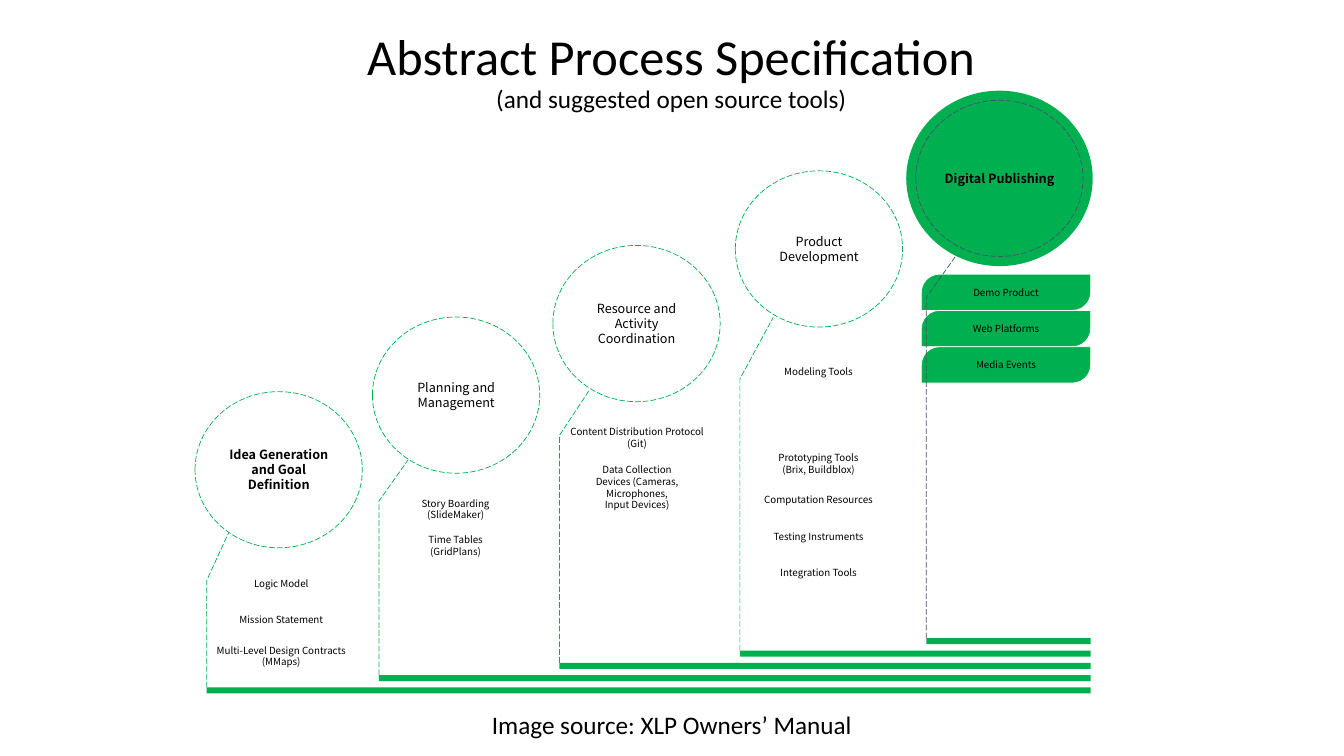
from dataclasses import dataclass

import pptx
import pptx.dml.color
import pptx.enum.dml
import pptx.enum.shapes
import pptx.enum.text
import pptx.util

GREEN = pptx.dml.color.RGBColor(0x00, 0xB0, 0x50)
SLATE = pptx.dml.color.RGBColor(0x44, 0x54, 0x6A)
BLACK = pptx.dml.color.RGBColor(0, 0, 0)
WHITE = pptx.dml.color.RGBColor(0xFF, 0xFF, 0xFF)

SHAPES = pptx.enum.shapes.MSO_SHAPE
ANCHOR = pptx.enum.text.MSO_ANCHOR
HEADING_FONT = "Calibri"
DIAGRAM_FONT = "Noto Sans CJK SC"

# All lengths below are counted in square grid cells.
COLUMNS, ROWS = 133.33, 75
CELL = pptx.util.Inches(0.1)
DISC_WIDTH, DISC_HEIGHT, RING_INSET = 18.5, 17.4, 0.95
TOOL_WIDTH, TOOL_ROW, TOOL_GAP, CORNER = 16.8, 3.6, 0.8, 1.8
BAR_RIGHT, BAR_HEIGHT = 108.2, 0.6
FIRST_BAR_TOP, BAR_STEP = 68.2, 1.22


@dataclass
class Tool:
    label: str
    height: float = TOOL_ROW
    space_below: float = 0.5


@dataclass
class Stage:
    name: str
    disc: tuple       # left, top
    tools_left: float
    spine: float      # column of the leader's upright, and start of the bar
    knee: float       # row where the leader bends
    tip: tuple        # where the leader meets the ring
    tools: list
    bold: bool = False
    filled: bool = False


STAGES = [
    Stage("Idea Generation and Goal Definition", (18.4, 37.9), 19.5,
          20.5, 57.6, (22.7, 52.8),
          [Tool("Logic Model"), Tool("Mission Statement"),
           Tool("Multi-Level Design Contracts (MMaps)")], bold=True),
    Stage("Planning and Management", (36, 30.5), 36.8,
          37.6, 49.7, (40.5, 45.6),
          [Tool("Story Boarding\n(SlideMaker)"),
           Tool("Time Tables\n(GridPlans)")]),
    Stage("Resource and Activity Coordination", (53.9, 23.4), 54.8,
          55.5, 43.2, (58.4, 38.8),
          [Tool("Content Distribution Protocol (Git)"),
           Tool("Data Collection\nDevices (Cameras, Microphones,\n"
                "Input Devices)", height=6.3)]),
    Stage("Product Development", (72, 16), 72.8,
          73.4, 37.6, (76.7, 31.5),
          [Tool("Modeling Tools", height=10, space_below=5.1),
           Tool("Prototyping Tools\n(Brix, Buildblox)"),
           Tool("Computation Resources"), Tool("Testing Instruments"),
           Tool("Integration Tools")]),
    Stage("Digital Publishing", (89.9, 9), 91.4,
          91.9, 29.5, (97.3, 21.9),
          [Tool("Demo Product"), Tool("Web Platforms"),
           Tool("Media Events")], bold=True, filled=True),
]


def cells(count):
    return round(count * CELL)


def style(shape, fill=None, line=None, dashed=False):
    shape.shadow.inherit = False
    if fill is None:
        shape.fill.background()
    else:
        shape.fill.solid()
        shape.fill.fore_color.rgb = fill
    if line is None:
        shape.line.fill.background()
    else:
        shape.line.color.rgb = line
        shape.line.width = pptx.util.Pt(0.5)
    if dashed:
        shape.line.dash_style = pptx.enum.dml.MSO_LINE.LONG_DASH


def add_block(slide, kind, left, top, width, height, **look):
    block = slide.shapes.add_shape(
        kind, cells(left), cells(top), cells(width), cells(height))
    style(block, **look)
    return block


def write(shape, text, size, font=DIAGRAM_FONT, bold=False):
    """Fill a shape with centred text, one paragraph per line."""
    frame = shape.text_frame
    frame.word_wrap = True
    frame.vertical_anchor = ANCHOR.MIDDLE
    frame.text = text
    for paragraph in frame.paragraphs:
        paragraph.alignment = pptx.enum.text.PP_ALIGN.CENTER
        paragraph.font.name = font
        paragraph.font.size = pptx.util.Pt(size)
        paragraph.font.bold = bold
        paragraph.font.color.rgb = BLACK
    return frame


def add_textbox(slide, left, top, width, height):
    return slide.shapes.add_textbox(
        cells(left), cells(top), cells(width), cells(height))


def add_title(slide):
    title = add_textbox(slide, 23.5, 0, 86.2, 14.5)
    frame = write(title, "Abstract Process Specification\v", 36, HEADING_FONT)
    heading = frame.paragraphs[0]
    heading.line_spacing = 0.9
    subtitle = heading.add_run()
    subtitle.text = "(and suggested open source tools)"
    subtitle.font.size = pptx.util.Pt(18)


def add_tools(slide, stage):
    top = stage.disc[1] + DISC_HEIGHT + TOOL_GAP
    for tool in stage.tools:
        box = add_block(slide, SHAPES.ROUND_2_DIAG_RECTANGLE,
                        stage.tools_left, top, TOOL_WIDTH, tool.height,
                        fill=GREEN if stage.filled else None, line=WHITE)
        box.adjustments[0] = CORNER / tool.height
        frame = write(box, tool.label, 7)
        frame.margin_bottom = cells(tool.space_below)
        top += tool.height


def add_leader(slide, stage, foot, color):
    """Draw the dashed line from the stage's bar up to its ring."""
    pen = slide.shapes.build_freeform(cells(stage.spine), cells(foot))
    pen.add_line_segments(
        [(cells(x), cells(y))
         for x, y in [(stage.spine, stage.knee), stage.tip]], close=False)
    style(pen.convert_to_shape(), line=color, dashed=True)


def add_disc(slide, stage, ring_color):
    left, top = stage.disc
    disc = add_block(slide, SHAPES.OVAL, left, top, DISC_WIDTH, DISC_HEIGHT,
                     fill=GREEN if stage.filled else None)
    write(disc, stage.name, 9, bold=stage.bold)
    add_block(slide, SHAPES.OVAL, left + RING_INSET, top + RING_INSET,
              DISC_WIDTH - 2 * RING_INSET, DISC_HEIGHT - 2 * RING_INSET,
              line=ring_color, dashed=True)


def add_stage(slide, stage, bar_top):
    outline = SLATE if stage.filled else GREEN
    add_tools(slide, stage)
    add_block(slide, SHAPES.RECTANGLE, stage.spine, bar_top,
              BAR_RIGHT - stage.spine, BAR_HEIGHT, fill=GREEN)
    add_leader(slide, stage, bar_top, outline)
    add_disc(slide, stage, outline)


def main():
    deck = pptx.Presentation()
    deck.slide_width, deck.slide_height = cells(COLUMNS), cells(ROWS)
    slide = deck.slides.add_slide(deck.slide_layouts[6])
    add_title(slide)
    for step, stage in enumerate(STAGES):
        add_stage(slide, stage, FIRST_BAR_TOP - step * BAR_STEP)
    credit = add_textbox(slide, 47.6, 69.9, 38.1, 4)
    write(credit, "Image source: XLP Owners’ Manual", 18, HEADING_FONT)
    deck.save("out.pptx")


if __name__ == "__main__":
    main()
